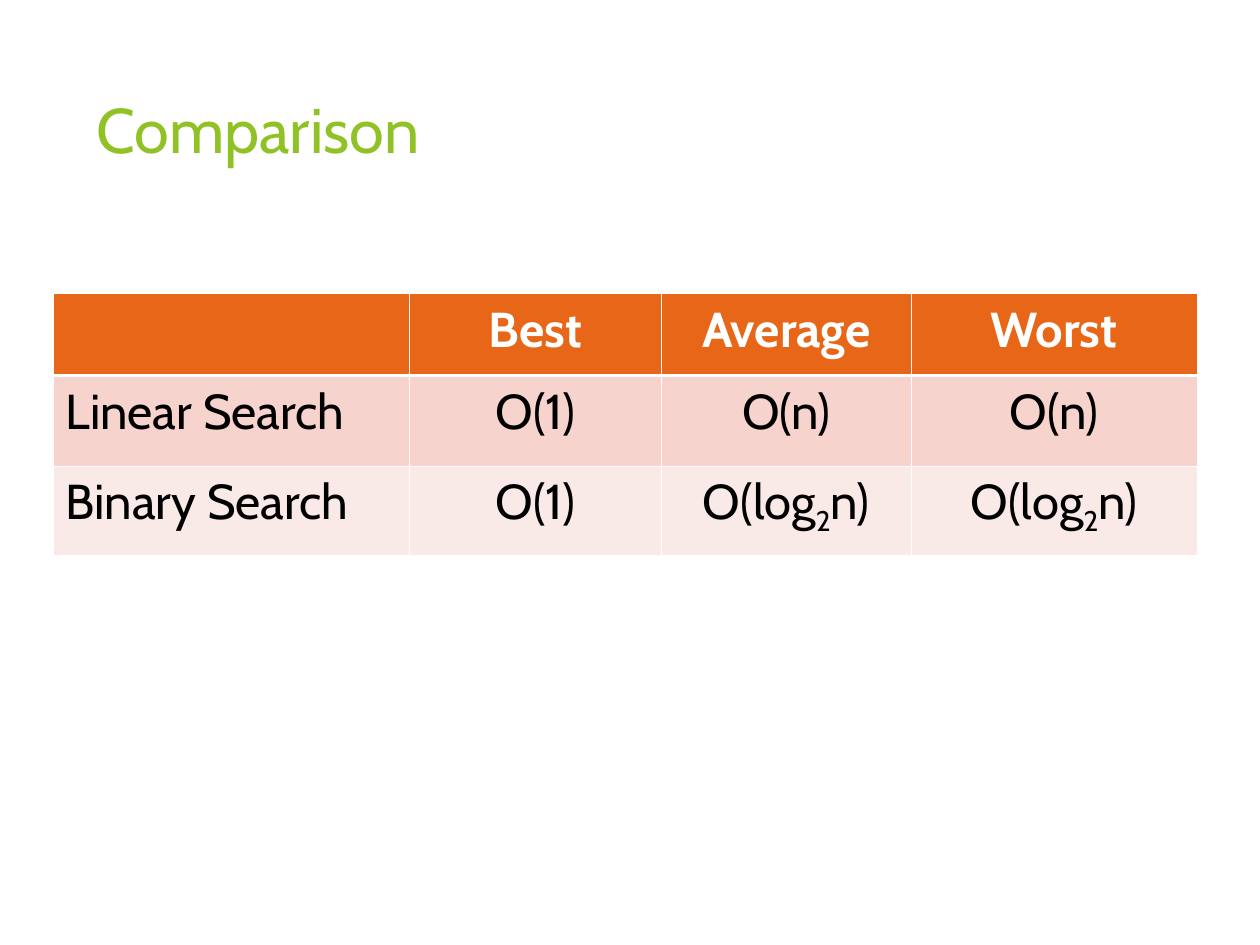
from dataclasses import dataclass

import lxml.etree
import pptx
import pptx.dml.color
import pptx.enum.text
import pptx.oxml.ns
import pptx.util

Inches = pptx.util.Inches
Pt = pptx.util.Pt
FONT = "Cabin"
COLORS = {
    "title": "90C226",
    "header": "E76618",
    "linear": "F6D3CC",
    "binary": "FAEAE7",
    "white": "FFFFFF",
    "black": "000000",
}
COLUMN_WIDTHS = (2.83, 2, 1.98, 2.27)
THIN, THICK = 0.45, 1.47
LOG_N = ("O(log", "2", "n)")


@dataclass(frozen=True)
class Row:
    cells: tuple[tuple[str, ...], ...]
    height: float
    fill: str
    ink: str = "black"
    bold: bool = False
    top: float = THIN
    bottom: float = THIN


ROWS = (
    Row(((), ("Best",), ("Average",), ("Worst",)), 0.65, "header", "white", True, bottom=THICK),
    Row((("Linear Search",), ("O(1)",), ("O(n)",), ("O(n)",)), 0.72, "linear", top=THICK),
    Row((("Binary Search",), ("O(1)",), LOG_N, LOG_N), 0.71, "binary"),
)


def rgb(name: str) -> pptx.dml.color.RGBColor:
    return pptx.dml.color.RGBColor.from_string(COLORS[name])


def style_font(paragraph, size: float, color: str, bold: bool = False) -> None:
    paragraph.font.name = FONT
    paragraph.font.size = Pt(size)
    paragraph.font.bold = bold
    paragraph.font.color.rgb = rgb(color)


def add_borders(cell, row: Row) -> None:
    properties = cell._tc.get_or_add_tcPr()
    qn = pptx.oxml.ns.qn
    for side, width in (("L", THIN), ("R", THIN), ("T", row.top), ("B", row.bottom)):
        line = lxml.etree.SubElement(properties, qn(f"a:ln{side}"), w=str(Pt(width)))
        fill = lxml.etree.SubElement(line, qn("a:solidFill"))
        lxml.etree.SubElement(fill, qn("a:srgbClr"), val=COLORS["white"])


def fill_cell(cell, parts: tuple[str, ...], row: Row, centered: bool) -> None:
    add_borders(cell, row)
    cell.fill.solid()
    cell.fill.fore_color.rgb = rgb(row.fill)
    paragraph = cell.text_frame.paragraphs[0]
    if centered:
        paragraph.alignment = pptx.enum.text.PP_ALIGN.CENTER
    style_font(paragraph, 28, row.ink, row.bold)
    for index, part in enumerate(parts):
        run = paragraph.add_run()
        run.text = part
        if index == 1:
            run._r.get_or_add_rPr().set("baseline", "-25000")


def add_title(slide) -> None:
    title = slide.shapes.add_textbox(Inches(0.67), Inches(0.67), Inches(6.94), Inches(1.44))
    title.text_frame.word_wrap = True
    paragraph = title.text_frame.paragraphs[0]
    paragraph.text = "Comparison"
    style_font(paragraph, 36, "title")


def add_comparison(slide) -> None:
    table = slide.shapes.add_table(
        len(ROWS), len(COLUMN_WIDTHS), Inches(0.42), Inches(2.33),
        Inches(sum(COLUMN_WIDTHS)), Inches(sum(row.height for row in ROWS)),
    ).table
    for column, width in zip(table.columns, COLUMN_WIDTHS):
        column.width = Inches(width)
    for row_index, row in enumerate(ROWS):
        table.rows[row_index].height = Inches(row.height)
        for column_index, parts in enumerate(row.cells):
            fill_cell(table.cell(row_index, column_index), parts, row, column_index > 0)


def main() -> None:
    presentation = pptx.Presentation()
    presentation.slide_width = Inches(10)
    presentation.slide_height = Inches(7.5)
    slide = presentation.slides.add_slide(presentation.slide_layouts[6])
    add_title(slide)
    add_comparison(slide)
    presentation.save("out.pptx")


if __name__ == "__main__":
    main()
